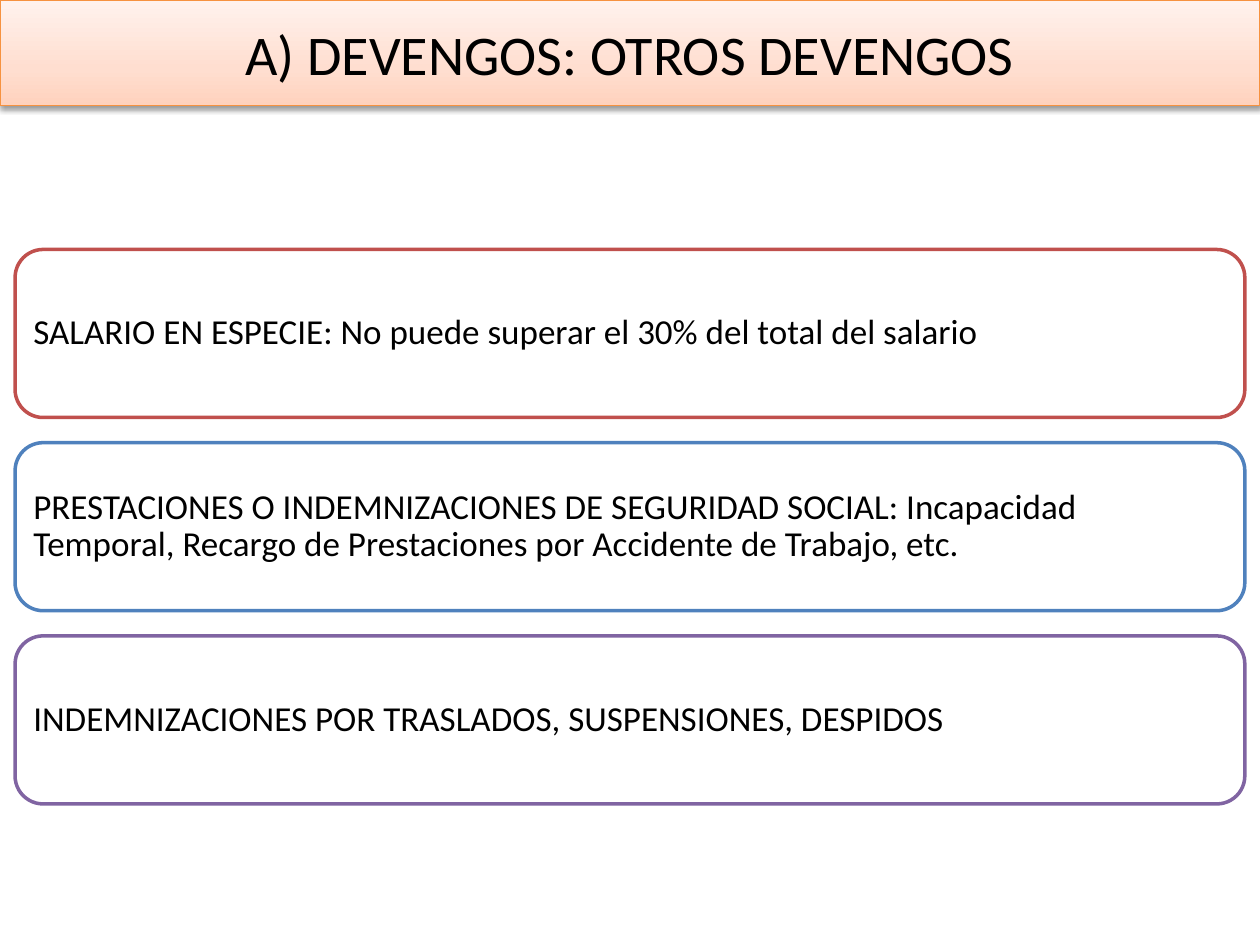
import copy

import lxml.etree
import pptx
import pptx.dml.color
import pptx.enum.shapes
import pptx.enum.text
import pptx.oxml
import pptx.oxml.ns
import pptx.util

Inches = pptx.util.Inches
Pt = pptx.util.Pt
RGBColor = pptx.dml.color.RGBColor

FONT = "Calibri"
BLACK = RGBColor(0x00, 0x00, 0x00)
WHITE = RGBColor(0xFF, 0xFF, 0xFF)
RED = RGBColor(0xC0, 0x50, 0x4D)
BLUE = RGBColor(0x4F, 0x81, 0xBD)
PURPLE = RGBColor(0x80, 0x64, 0xA2)
ORANGE = RGBColor(0xF6, 0x92, 0x40)
BANNER_STOPS = [
    (0, RGBColor(0xFF, 0xD2, 0xBD)),
    (0.35, RGBColor(0xFF, 0xDE, 0xD0)),
    (1, RGBColor(0xFF, 0xF2, 0xED)),
]
BANNER_SHADOW = (
    f'<a:effectLst {pptx.oxml.ns.nsdecls("a")}>'
    f'<a:outerShdw blurRad="{Pt(3.1)}" dist="{Pt(1.6)}" dir="5400000" rotWithShape="0">'
    '<a:srgbClr val="000000"><a:alpha val="38000"/></a:srgbClr>'
    "</a:outerShdw></a:effectLst>"
)
CONCEPTS = [
    ("SALARIO EN ESPECIE: No puede superar el 30% del total del salario", RED),
    (
        "PRESTACIONES O INDEMNIZACIONES DE SEGURIDAD SOCIAL: Incapacidad Temporal, "
        "Recargo de Prestaciones por Accidente de Trabajo, etc.",
        BLUE,
    ),
    ("INDEMNIZACIONES POR TRASLADOS, SUSPENSIONES, DESPIDOS", PURPLE),
]


def set_text(shape, text, size, alignment):
    frame = shape.text_frame
    frame.text = text
    frame.word_wrap = True
    frame.auto_size = pptx.enum.text.MSO_AUTO_SIZE.NONE
    frame.vertical_anchor = pptx.enum.text.MSO_ANCHOR.MIDDLE
    paragraph = frame.paragraphs[0]
    paragraph.alignment = alignment
    paragraph.font.name = FONT
    paragraph.font.size = Pt(size)
    paragraph.font.color.rgb = BLACK
    return paragraph


def fill_gradient(shape, stops):
    shape.fill.gradient()
    shape.fill.gradient_angle = 90
    stop_list = shape.element.spPr.find(".//" + pptx.oxml.ns.qn("a:gsLst"))
    while len(stop_list) < len(stops):
        stop_list.append(copy.deepcopy(stop_list[-1]))
    for stop, (position, color) in zip(shape.fill.gradient_stops, stops):
        stop.position = position
        stop.color.rgb = color


def place_title(slide, text, left, top, width, height):
    title = slide.shapes.title
    title.left, title.top, title.width, title.height = left, top, width, height
    fill_gradient(title, BANNER_STOPS)
    title.line.color.rgb = ORANGE
    title.line.width = Pt(0.75)
    title.element.spPr.append(pptx.oxml.parse_xml(BANNER_SHADOW))
    set_text(title, text, 32, pptx.enum.text.PP_ALIGN.CENTER)


def place_concepts(slide, concepts, left, top, width, height, gap):
    box_height = int((height - gap * (len(concepts) - 1)) / len(concepts))
    for index, (text, color) in enumerate(concepts):
        box = slide.shapes.add_shape(
            pptx.enum.shapes.MSO_SHAPE.ROUNDED_RECTANGLE,
            left, top + index * (box_height + gap), width, box_height,
        )
        box.shadow.inherit = False
        box.fill.solid()
        box.fill.fore_color.rgb = WHITE
        box.line.color.rgb = color
        box.line.width = Pt(2)
        frame = box.text_frame
        frame.margin_left = frame.margin_right = Inches(0.08)
        frame.margin_top = frame.margin_bottom = Inches(0.08)
        paragraph = set_text(box, text, 20, pptx.enum.text.PP_ALIGN.LEFT)
        paragraph.line_spacing = 0.9
        paragraph.space_after = Pt(7)


def main():
    presentation = pptx.Presentation()
    presentation.slide_width = Inches(10)
    presentation.slide_height = Inches(7.5)
    slide = presentation.slides.add_slide(presentation.slide_layouts[5])
    place_title(
        slide, "A) DEVENGOS: OTROS DEVENGOS",
        Inches(0), Inches(0), presentation.slide_width, Inches(0.84),
    )
    place_concepts(
        slide, CONCEPTS,
        Inches(0.12), Inches(1.98), Inches(9.76), Inches(4.4), Inches(0.2),
    )
    presentation.save("out.pptx")


if __name__ == "__main__":
    main()
